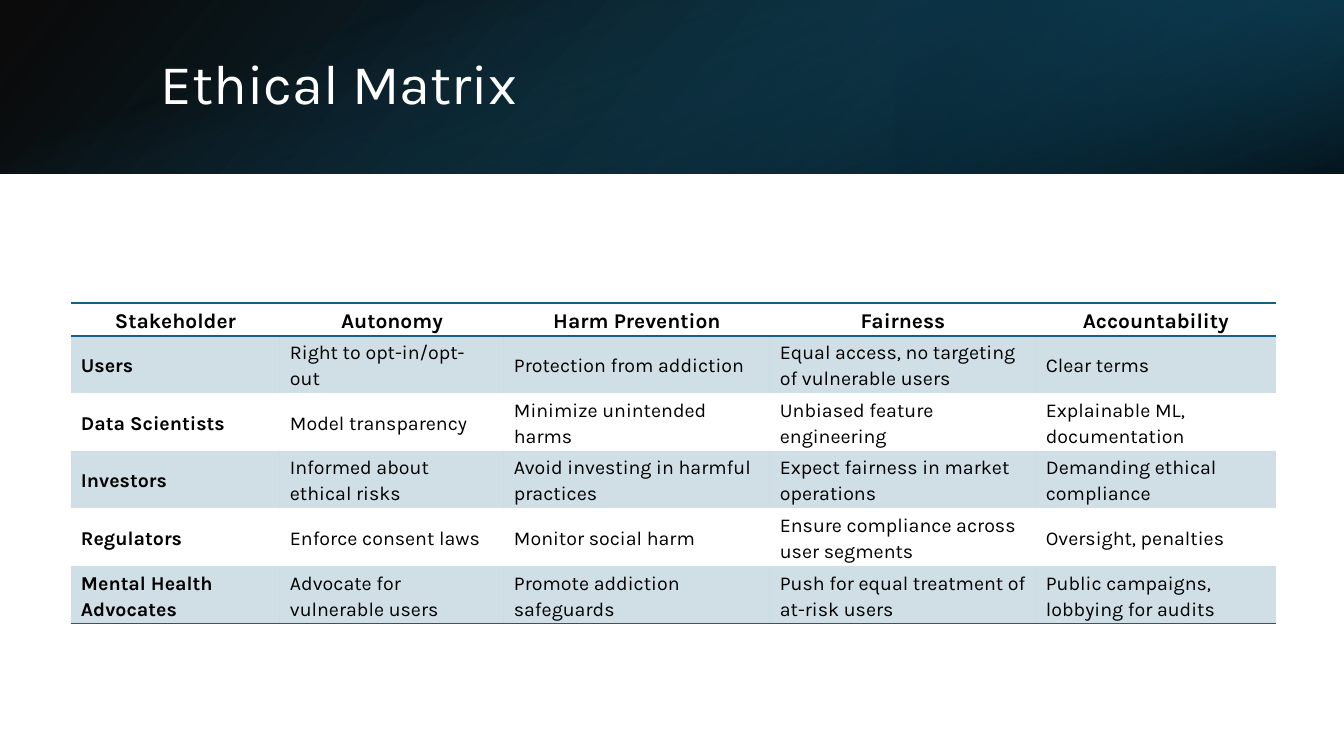
"""Build the Ethical Matrix slide with a gradient banner and a stakeholder table."""
from dataclasses import dataclass

from lxml import etree
from pptx import Presentation
from pptx.dml.color import RGBColor
from pptx.enum.shapes import MSO_SHAPE
from pptx.enum.text import MSO_ANCHOR, PP_ALIGN
from pptx.oxml import parse_xml
from pptx.oxml.ns import nsdecls, qn
from pptx.util import Emu, Pt

RECT = MSO_SHAPE.RECTANGLE
MIDDLE = MSO_ANCHOR.MIDDLE
LEFT, CENTER = PP_ALIGN.LEFT, PP_ALIGN.CENTER

EMU_PER_PX = 914400 / 100.8
FONT = "Karla"
COLORS = {
    "white": "FFFFFF",
    "black": "000000",
    "teal": "156082",
    "deep_teal": "104862",
    "night": "0B3041",
}
NO_STYLE_NO_GRID = "{2D5ABB26-0587-4C30-8999-92F81FD0307C}"

TABLE_LEFT, TABLE_TOP = 71, 303
COLUMN_WIDTHS = (209, 224, 266, 266, 240)
ROW_HEIGHTS = (33, 57, 58, 57, 58, 58)
MATRIX = (
    ("Stakeholder", "Autonomy", "Harm Prevention", "Fairness", "Accountability"),
    ("Users", "Right to opt-in/opt-out", "Protection from addiction",
     "Equal access, no targeting of vulnerable users", "Clear terms"),
    ("Data Scientists", "Model transparency", "Minimize unintended harms",
     "Unbiased feature engineering", "Explainable ML, documentation"),
    ("Investors", "Informed about ethical risks",
     "Avoid investing in harmful practices",
     "Expect fairness in market operations", "Demanding ethical compliance"),
    ("Regulators", "Enforce consent laws", "Monitor social harm",
     "Ensure compliance across user segments", "Oversight, penalties"),
    ("Mental Health Advocates", "Advocate for vulnerable users",
     "Promote addiction safeguards",
     "Push for equal treatment of at-risk users",
     "Public campaigns, lobbying for audits"),
)


@dataclass(frozen=True)
class Stop:
    """One gradient stop, with position and opacity in percent."""
    pos: int
    color: str
    opacity: int = 100


@dataclass(frozen=True)
class Band:
    """One gradient rectangle of the banner, in px and degrees."""
    left: int
    top: int
    width: int
    height: int
    angle: int
    stops: tuple[Stop, ...]
    rotation: int = 0
    flipped: bool = False


BANDS = (
    Band(0, 0, 1344, 174, 140,
         (Stop(0, "black", 96), Stop(100, "deep_teal")), flipped=True),
    Band(896, 0, 448, 174, 320,
         (Stop(19, "night", 68), Stop(100, "teal", 79)), 180, True),
    Band(585, -585, 174, 1344, 340,
         (Stop(23, "teal", 0), Stop(99, "black", 74)), 90),
)


def px(value: int) -> Emu:
    """Convert px to EMU."""
    return Emu(round(value * EMU_PER_PX))


def rgb(name: str) -> RGBColor:
    """Look up a named colour."""
    return RGBColor.from_string(COLORS[name])


def set_opacity(color, percent: int) -> None:
    """Give an srgbClr element an opacity."""
    etree.SubElement(color, qn("a:alpha")).set("val", str(percent * 1000))


def add_band(slide, band: Band) -> None:
    """Draw one gradient rectangle."""
    s = slide.shapes.add_shape(RECT, px(band.left), px(band.top),
                               px(band.width), px(band.height))
    s.shadow.inherit = False
    s.line.fill.background()
    s.rotation = band.rotation
    sp_pr = s.element.spPr
    if band.flipped:
        sp_pr.find(qn("a:xfrm")).set("flipH", "1")
    grad = parse_xml(f'<a:gradFill {nsdecls("a")} rotWithShape="1"><a:gsLst/>'
                     f'<a:lin ang="{band.angle * 60000}" scaled="0"/></a:gradFill>')
    for stop in band.stops:
        gs = etree.SubElement(grad[0], qn("a:gs"), pos=str(stop.pos * 1000))
        color = etree.SubElement(gs, qn("a:srgbClr"), val=COLORS[stop.color])
        set_opacity(color, stop.opacity)
    sp_pr.find(qn("a:prstGeom")).addnext(grad)


def write(tf, text: str, size: int, color: str, spacing: float,
          bold: bool = False, align: PP_ALIGN = LEFT):
    """Set a single formatted paragraph and return it."""
    tf.text = text
    p = tf.paragraphs[0]
    p.alignment = align
    p.line_spacing = spacing
    font = p.runs[0].font
    font.name, font.size, font.bold = FONT, Pt(size), bold
    font.color.rgb = rgb(color)
    return p


def add_title(slide, text: str) -> None:
    """Add the banner title."""
    box = slide.shapes.add_textbox(px(151), px(38), px(1107), px(97))
    tf = box.text_frame
    tf.word_wrap = True
    tf.vertical_anchor = MIDDLE
    write(tf, text, 40, "white", 0.9)


def add_border(cell, side: str) -> None:
    """Add a teal hairline to one side of a cell."""
    cell._tc.get_or_add_tcPr().append(parse_xml(
        f'<a:{side} {nsdecls("a")} w="12700"><a:solidFill>'
        f'<a:srgbClr val="{COLORS["teal"]}"/></a:solidFill></a:{side}>'))


def format_cell(cell, text: str, row: int, col: int) -> None:
    """Fill in one cell according to its place in the matrix."""
    header = row == 0
    cell.margin_left = cell.margin_right = px(10)
    cell.margin_top = cell.margin_bottom = 0
    cell.vertical_anchor = MIDDLE
    p = write(cell.text_frame, text, 15 if header else 14, "black", 1.15,
              header or col == 0, CENTER if header else LEFT)
    p.space_after = Pt(8)
    if header:
        add_border(cell, "lnT")
    if header or row == len(MATRIX) - 1:
        add_border(cell, "lnB")
    if row % 2:
        cell.fill.solid()
        cell.fill.fore_color.rgb = rgb("teal")
        set_opacity(cell._tc.tcPr.find(qn("a:solidFill"))[0], 20)
    else:
        cell.fill.background()


def add_matrix(slide) -> None:
    """Add the stakeholder table."""
    frame = slide.shapes.add_table(
        len(MATRIX), len(COLUMN_WIDTHS), px(TABLE_LEFT), px(TABLE_TOP),
        px(sum(COLUMN_WIDTHS)), px(sum(ROW_HEIGHTS)))
    table = frame.table
    table.horz_banding = False
    table._tbl.tblPr.find(qn("a:tableStyleId")).text = NO_STYLE_NO_GRID
    for column, width in zip(table.columns, COLUMN_WIDTHS):
        column.width = px(width)
    for row, (height, texts) in enumerate(zip(ROW_HEIGHTS, MATRIX)):
        table.rows[row].height = px(height)
        for col, text in enumerate(texts):
            format_cell(table.cell(row, col), text, row, col)


def main() -> None:
    """Build and save the presentation."""
    prs = Presentation()
    prs.slide_width, prs.slide_height = px(1344), px(756)
    slide = prs.slides.add_slide(prs.slide_layouts[6])
    for band in BANDS:
        add_band(slide, band)
    add_title(slide, "Ethical Matrix")
    add_matrix(slide)
    prs.save("out.pptx")


if __name__ == "__main__":
    main()
